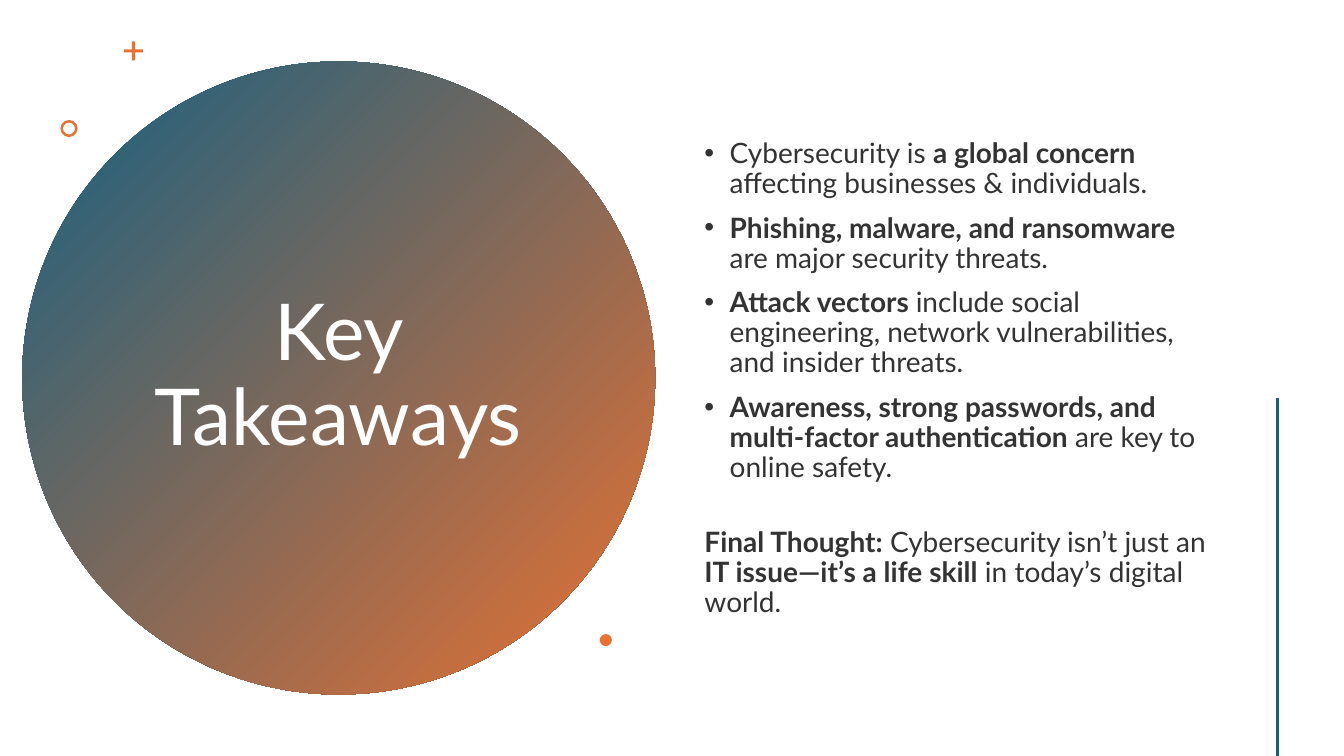
from lxml import etree
from pptx import Presentation
from pptx.dml.color import RGBColor
from pptx.enum.shapes import MSO_CONNECTOR, MSO_SHAPE
from pptx.enum.text import MSO_ANCHOR, PP_ALIGN
from pptx.oxml.ns import qn
from pptx.util import Inches, Pt

OVAL, DONUT, CROSS = MSO_SHAPE.OVAL, MSO_SHAPE.DONUT, MSO_SHAPE.CROSS
STRAIGHT = MSO_CONNECTOR.STRAIGHT
MIDDLE, CENTER, LEFT = MSO_ANCHOR.MIDDLE, PP_ALIGN.CENTER, PP_ALIGN.LEFT

COLS, ROWS = 160, 90
CELL = Inches(1 / 12)
COLORS = {"blue": "156082", "orange": "E97132", "white": "FFFFFF", "text": "333333"}
FONT = "Lato"
LINE_SPACING = 0.9
HANG = Inches(0.25)

TITLE_FORMAT = {"size": Pt(56), "name": FONT}
BODY_FORMAT = {"size": Pt(20), "name": FONT}

# Each paragraph is a list of (text, bold) runs.
TAKEAWAYS = [
    [("Cybersecurity is ", False), ("a global concern", True),
     (" affecting businesses & individuals.", False)],
    [("Phishing, malware, and ransomware", True),
     (" are major security threats.", False)],
    [("Attack vectors ", True),
     ("include social engineering, network vulnerabilities, and insider threats.", False)],
    [("Awareness, strong passwords, and multi-factor authentication", True),
     (" are key to online safety.", False)],
]
FINAL_THOUGHT = [
    ("Final Thought:", True), (" Cybersecurity isn’t just an ", False),
    ("IT issue—it’s a life skill", True), (" in today’s digital world.", False),
]


def grid(*cells):
    """Turn counts of grid cells into lengths."""
    return [int(n * CELL) for n in cells]


def color(name):
    return RGBColor.from_string(COLORS[name])


def add_round(s, shape, col, row, size, adjustment=None):
    """Add an orange shape that is as wide as it is high."""
    sp = s.shapes.add_shape(shape, *grid(col, row, size, size))
    sp.shadow.inherit = False
    sp.line.fill.background()
    sp.fill.solid()
    sp.fill.fore_color.rgb = color("orange")
    if adjustment is not None:
        sp.adjustments[0] = adjustment
    return sp


def fill_gradient(sp, start, end, angle):
    sp.fill.gradient()
    sp.fill.gradient_angle = angle
    for stop, name, position in zip(sp.fill.gradient_stops, (start, end), (0, 1)):
        stop.color.rgb = color(name)
        stop.position = position


def add_text_frame(s, col, row, width, height):
    tf = s.shapes.add_textbox(*grid(col, row, width, height)).text_frame
    tf.word_wrap = True
    tf.vertical_anchor = MIDDLE
    return tf


def add_bullet(p):
    pPr = p._p.get_or_add_pPr()
    pPr.set("marL", str(HANG))
    pPr.set("indent", str(-HANG))
    etree.SubElement(pPr, qn("a:buFont")).set("typeface", "Arial")
    etree.SubElement(pPr, qn("a:buChar")).set("char", "•")


def write_paragraph(p, runs, font_format, color_name, align=LEFT, space_before=0):
    p.alignment = align
    p.line_spacing = LINE_SPACING
    if space_before:
        p.space_before = Pt(space_before)
    for text, bold in runs:
        r = p.add_run()
        r.text = text
        for key, value in font_format.items():
            setattr(r.font, key, value)
        r.font.bold = bold
        r.font.color.rgb = color(color_name)


def add_body(s):
    tf = add_text_frame(s, 82.68, 6.84, 62.64, 76.56)
    for i, runs in enumerate(TAKEAWAYS):
        p = tf.add_paragraph() if i else tf.paragraphs[0]
        add_bullet(p)
        write_paragraph(p, runs, BODY_FORMAT, "text", space_before=10 if i else 0)
    write_paragraph(tf.add_paragraph(), FINAL_THOUGHT, BODY_FORMAT, "text", space_before=31.6)


def add_rule(s, col, top, bottom):
    line = s.shapes.add_connector(STRAIGHT, *grid(col, top, col, bottom))
    line.line.color.rgb = color("blue")
    line.line.width = Pt(2)
    etree.SubElement(line._element.spPr, qn("a:effectLst"))


def main():
    prs = Presentation()
    prs.slide_width, prs.slide_height = grid(COLS, ROWS)
    s = prs.slides.add_slide(prs.slide_layouts[6])

    circle = add_round(s, OVAL, 2.64, 7.32, 75.36)
    fill_gradient(circle, "blue", "orange", 315)
    title = add_text_frame(s, 16.32, 16.92, 47.88, 56.04)
    write_paragraph(title.paragraphs[0], [("Key Takeaways", False)],
                    TITLE_FORMAT, "white", CENTER)

    add_round(s, CROSS, 14.76, 4.92, 2.28, 0.42)
    add_round(s, DONUT, 7.2, 14.28, 2.04, 0.15)
    add_body(s)
    add_round(s, OVAL, 71.4, 75.48, 1.44)
    add_rule(s, 152.04, 47.4, ROWS)

    prs.save("out.pptx")


if __name__ == "__main__":
    main()
